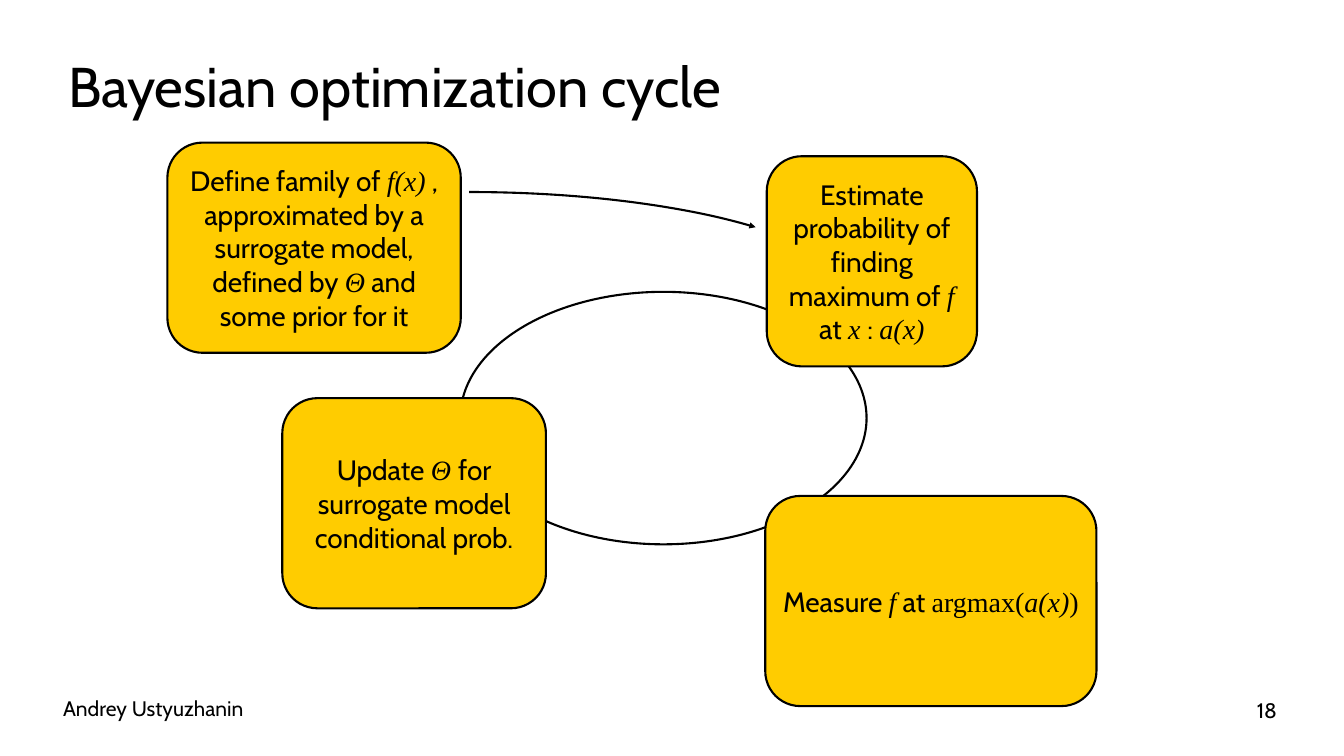
from lxml import etree
from pptx import Presentation
from pptx.dml.color import RGBColor
from pptx.enum.shapes import MSO_SHAPE
from pptx.enum.text import MSO_ANCHOR, MSO_AUTO_SIZE, PP_ALIGN
from pptx.oxml.ns import qn
from pptx.util import Inches, Pt

ROUNDED, ELLIPSE, ARC = MSO_SHAPE.ROUNDED_RECTANGLE, MSO_SHAPE.OVAL, MSO_SHAPE.ARC
LEFT, CENTER, RIGHT = PP_ALIGN.LEFT, PP_ALIGN.CENTER, PP_ALIGN.RIGHT
MIDDLE, BOTTOM = MSO_ANCHOR.MIDDLE, MSO_ANCHOR.BOTTOM
NO_AUTOFIT = MSO_AUTO_SIZE.NONE
SANS, SERIF = "Cabin", "Times New Roman"
BLACK, YELLOW = "000000", "FFCC00"


def add_outlined(kind, box, fill=None):
    sp = s.shapes.add_shape(kind, *[Inches(v) for v in box])
    sp.shadow.inherit = False
    if fill:
        sp.fill.solid()
        sp.fill.fore_color.rgb = RGBColor.from_string(fill)
    else:
        sp.fill.background()
    sp.line.color.rgb = RGBColor.from_string(BLACK)
    sp.line.width = Pt(3)
    return sp


def add_run(p, text, size, font=SANS, italic=False):
    r = p.add_run()
    r.text = text
    r.font.size = Pt(size)
    r.font.name = font
    r.font.italic = italic
    r.font.color.rgb = RGBColor.from_string(BLACK)


prs = Presentation()
prs.slide_width, prs.slide_height = Inches(26.66), Inches(15)
s = prs.slides.add_slide(prs.slide_layouts[5])

# Title
title = s.shapes.title
title.left, title.top = Inches(1.25), Inches(0.83)
title.width, title.height = Inches(24.2), Inches(1.65)
tf = title.text_frame
tf.auto_size = NO_AUTOFIT
tf.vertical_anchor = MIDDLE
p = tf.paragraphs[0]
p.alignment = LEFT
p.line_spacing = Pt(100)
add_run(p, "Bayesian optimization cycle", 80)

# Cycle behind the steps
add_outlined(ELLIPSE, (9.13, 5.79, 8.06, 5.01))

# Steps: box, then runs of (text, font, italic)
steps = [
    ((3.32, 2.83, 5.82, 4.17), [
        ("Define family of ", SANS, False), ("f(x)", SERIF, True),
        (" , approximated by a surrogate model, defined by ", SANS, False),
        ("Θ", SERIF, True), (" and some prior for it", SANS, False)]),
    ((15.21, 3.1, 4.17, 4.17), [
        ("Estimate probability of finding maximum of ", SANS, False),
        ("f", SERIF, True), (" at ", SANS, False), ("x ", SERIF, True),
        (": ", SANS, False), ("a(x)", SERIF, True)]),
    ((15.18, 9.84, 6.57, 4.17), [
        ("Measure ", SANS, False), ("f", SERIF, True), (" at ", SANS, False),
        ("argmax(", SERIF, False), ("a(x)", SERIF, True), (")", SERIF, False)]),
    ((5.6, 7.9, 5.23, 4.17), [
        ("Update ", SANS, False), ("Θ ", SERIF, True),
        ("for surrogate model conditional prob.", SANS, False)]),
]
for box, runs in steps:
    tf = add_outlined(ROUNDED, box, YELLOW).text_frame
    tf.word_wrap = True
    tf.vertical_anchor = MIDDLE
    p = tf.paragraphs[0]
    p.alignment = CENTER
    for text, font, italic in runs:
        add_run(p, text, 40, font, italic)

# Arrow from the first step into the cycle
arc = add_outlined(ARC, (1.42, 3.81, 15.77, 4.55))
arc.adjustments[0] = 162
arc.adjustments[1] = 206.7
etree.SubElement(arc.line._get_or_add_ln(), qn("a:tailEnd"), type="triangle")

# Author and slide number
footers = [
    ("Andrey Ustyuzhanin", 1.25, 21.28, LEFT, BOTTOM),
    ("18", 24.18, 1.25, RIGHT, MIDDLE),
]
for text, left, width, align, anchor in footers:
    sp = s.shapes.add_textbox(Inches(left), Inches(13.88), Inches(width), Inches(0.42))
    tf = sp.text_frame
    tf.word_wrap = True
    tf.vertical_anchor = anchor
    if align == LEFT:
        tf.margin_left = tf.margin_top = tf.margin_bottom = 0
    p = tf.paragraphs[0]
    p.alignment = align
    add_run(p, text, 30)

prs.save("out.pptx")
